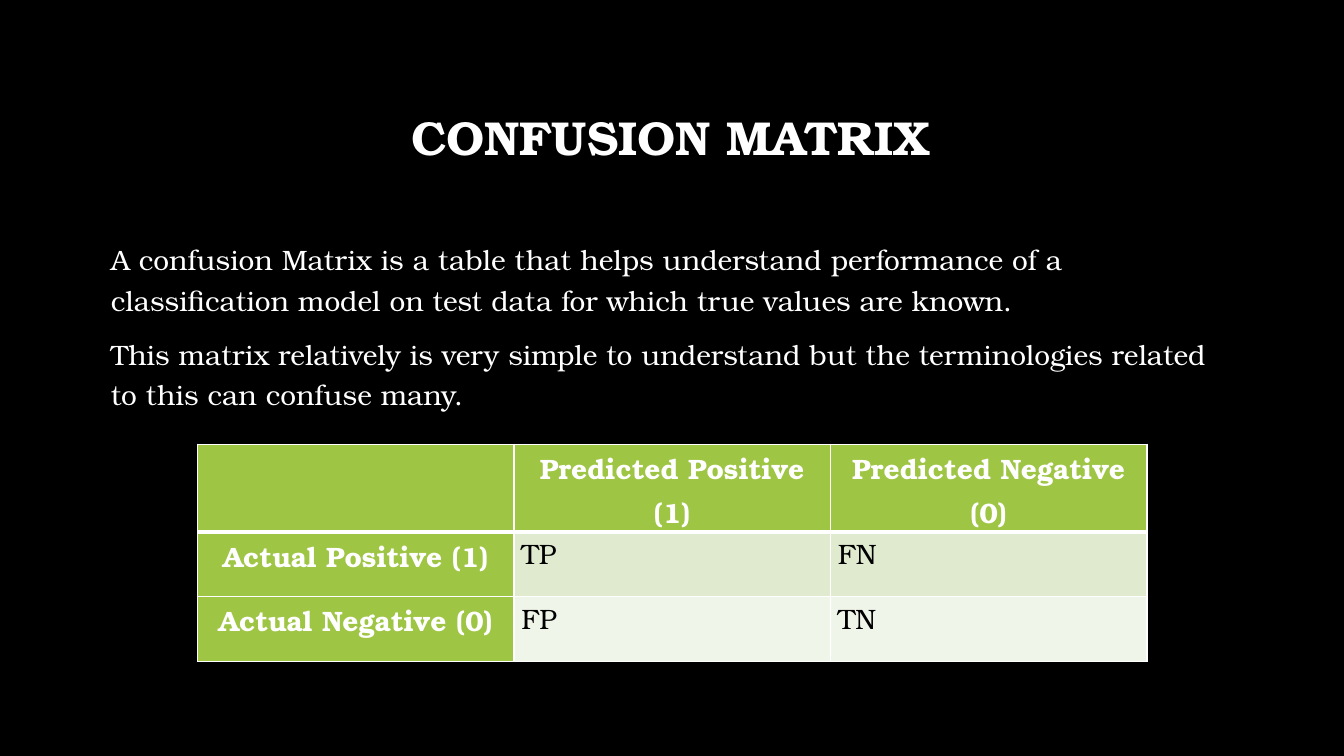
from lxml import etree
from pptx import Presentation
from pptx.dml.color import RGBColor
from pptx.enum.text import MSO_ANCHOR, MSO_AUTO_SIZE, PP_ALIGN
from pptx.oxml.ns import qn
from pptx.util import Pt

CENTER, LEFT = PP_ALIGN.CENTER, PP_ALIGN.LEFT
TOP, MIDDLE = MSO_ANCHOR.TOP, MSO_ANCHOR.MIDDLE
NO_FIT = MSO_AUTO_SIZE.NONE

# Content
TITLE = "CONFUSION MATRIX"
EXPLANATION = [
    "A confusion Matrix is a table that helps understand performance of a "
    "classification model on test data for which true values are known.",
    "This matrix relatively is very simple to understand but the "
    "terminologies related to this can confuse many.",
]
MATRIX = [
    ["", "Predicted Positive (1)", "Predicted Negative (0)"],
    ["Actual Positive (1)", "TP", "FN"],
    ["Actual Negative (0)", "FP", "TN"],
]

# Style and layout, in points
FONT = "TeX Gyre Bonum"
COLORS = {"background": "000000", "light": "FFFFFF", "dark": "000000",
          "header": "9EC544"}
ROW_FILLS = ["9EC544", "DFEACF", "F0F5E9"]
TITLE_BOX = (72, 48, 815, 104.4)
BODY_BOX = (72, 165, 815, 291)
MATRIX_LEFT, MATRIX_TOP, COLUMN_WIDTH = 141, 317.3, 226.1
ROW_HEIGHTS = [62.8, 46.1, 46.1]
THIN, THICK = 1, 3


def color(name):
    return RGBColor.from_string(COLORS[name])


def place(holder, box, anchor):
    holder.left, holder.top, holder.width, holder.height = map(Pt, box)
    holder.text_frame.auto_size = NO_FIT
    holder.text_frame.vertical_anchor = anchor
    holder.text_frame.word_wrap = True


def write(paragraph, text, size, ink, bold, align, spacing, before=0, after=0):
    paragraph.text = text
    paragraph.alignment = align
    paragraph.line_spacing = spacing
    paragraph.space_before, paragraph.space_after = Pt(before), Pt(after)
    for run in paragraph.runs:
        run.font.name, run.font.size, run.font.bold = FONT, Pt(size), bold
        run.font.color.rgb = color(ink)


def add_borders(cell, widths):
    properties = cell._tc.get_or_add_tcPr()
    for position, (side, width) in enumerate(widths.items()):
        line = etree.Element(qn(f"a:ln{side}"), w=str(Pt(width)))
        fill = etree.SubElement(line, qn("a:solidFill"))
        etree.SubElement(fill, qn("a:srgbClr"), val=COLORS["light"])
        properties.insert(position, line)


prs = Presentation()
prs.slide_width, prs.slide_height = Pt(960), Pt(540)
slide = prs.slides.add_slide(prs.slide_layouts[1])
slide.background.fill.solid()
slide.background.fill.fore_color.rgb = color("background")

# Title
title = slide.shapes.title
place(title, TITLE_BOX, MIDDLE)
write(title.text_frame.paragraphs[0], TITLE, 34, "light", True, CENTER, 0.9)

# Explanation, without bullets
body = slide.placeholders[1]
place(body, BODY_BOX, TOP)
body.text_frame.text = "\n".join(EXPLANATION)
for paragraph, sentence in zip(body.text_frame.paragraphs, EXPLANATION):
    write(paragraph, sentence, 20, "light", False, LEFT, 1.2, before=10)
    properties = paragraph._p.get_or_add_pPr()
    properties.set("marL", "0")
    properties.set("indent", "0")
    etree.SubElement(properties, qn("a:buNone"))

# Confusion matrix
columns = len(MATRIX[0])
matrix = slide.shapes.add_table(
    len(MATRIX), columns, Pt(MATRIX_LEFT), Pt(MATRIX_TOP),
    Pt(columns * COLUMN_WIDTH), Pt(sum(ROW_HEIGHTS))).table
for column in matrix.columns:
    column.width = Pt(COLUMN_WIDTH)
for r, labels in enumerate(MATRIX):
    matrix.rows[r].height = Pt(ROW_HEIGHTS[r])
    for c, label in enumerate(labels):
        cell = matrix.cell(r, c)
        is_header = r == 0 or c == 0
        cell.margin_left = cell.margin_right = Pt(5.4)
        cell.margin_top = cell.margin_bottom = Pt(0)
        cell.fill.solid()
        cell.fill.fore_color.rgb = (
            color("header") if is_header else RGBColor.from_string(ROW_FILLS[r]))
        write(cell.text_frame.paragraphs[0], label, 20,
              "light" if is_header else "dark", is_header,
              CENTER if is_header else LEFT, 1.07, after=8)
        add_borders(cell, {"L": THIN, "R": THIN,
                           "T": THICK if r == 1 else THIN,
                           "B": THICK if r == 0 else THIN})

prs.save("out.pptx")
